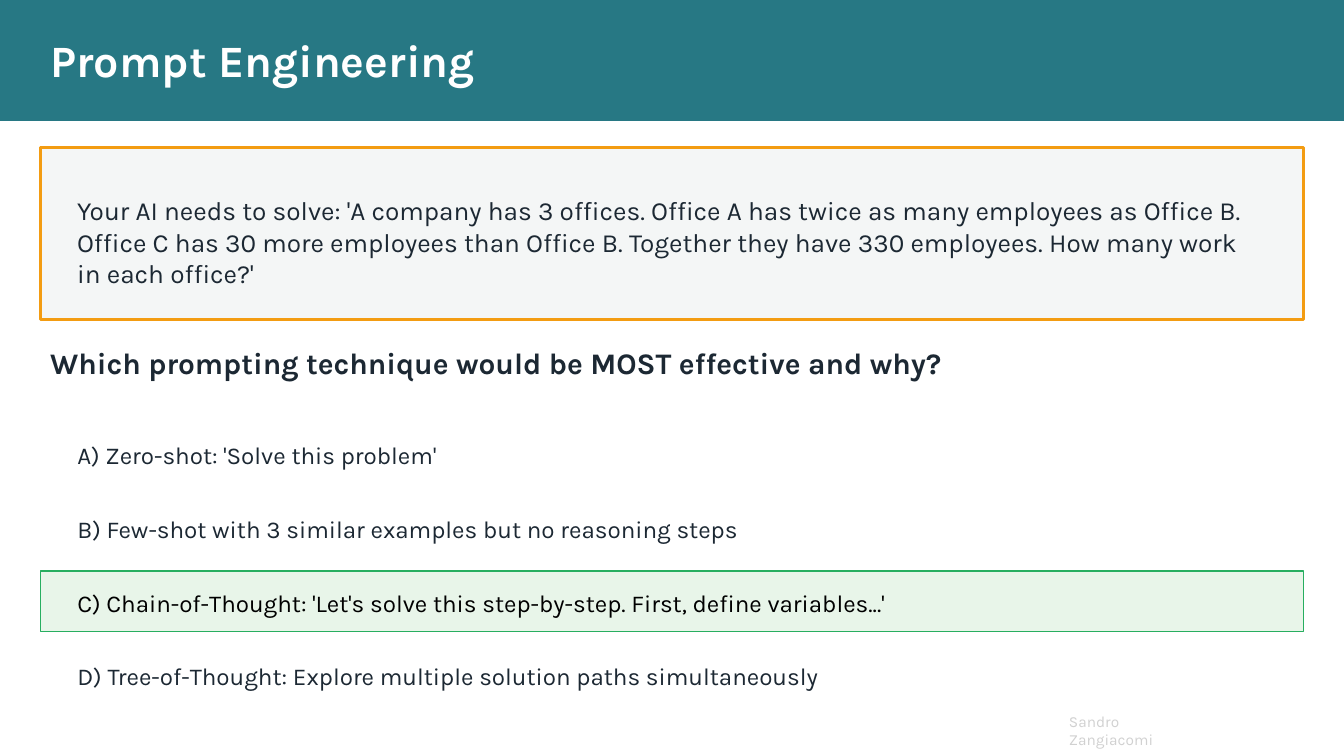
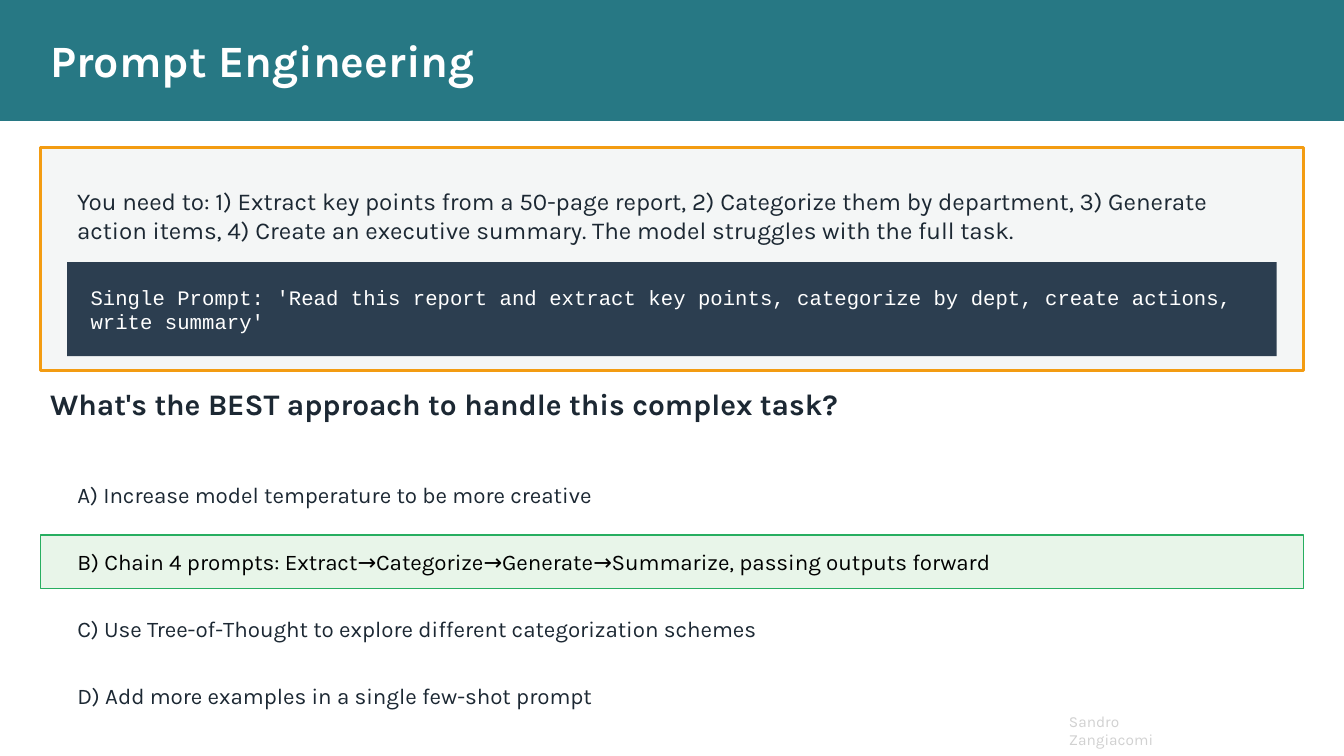
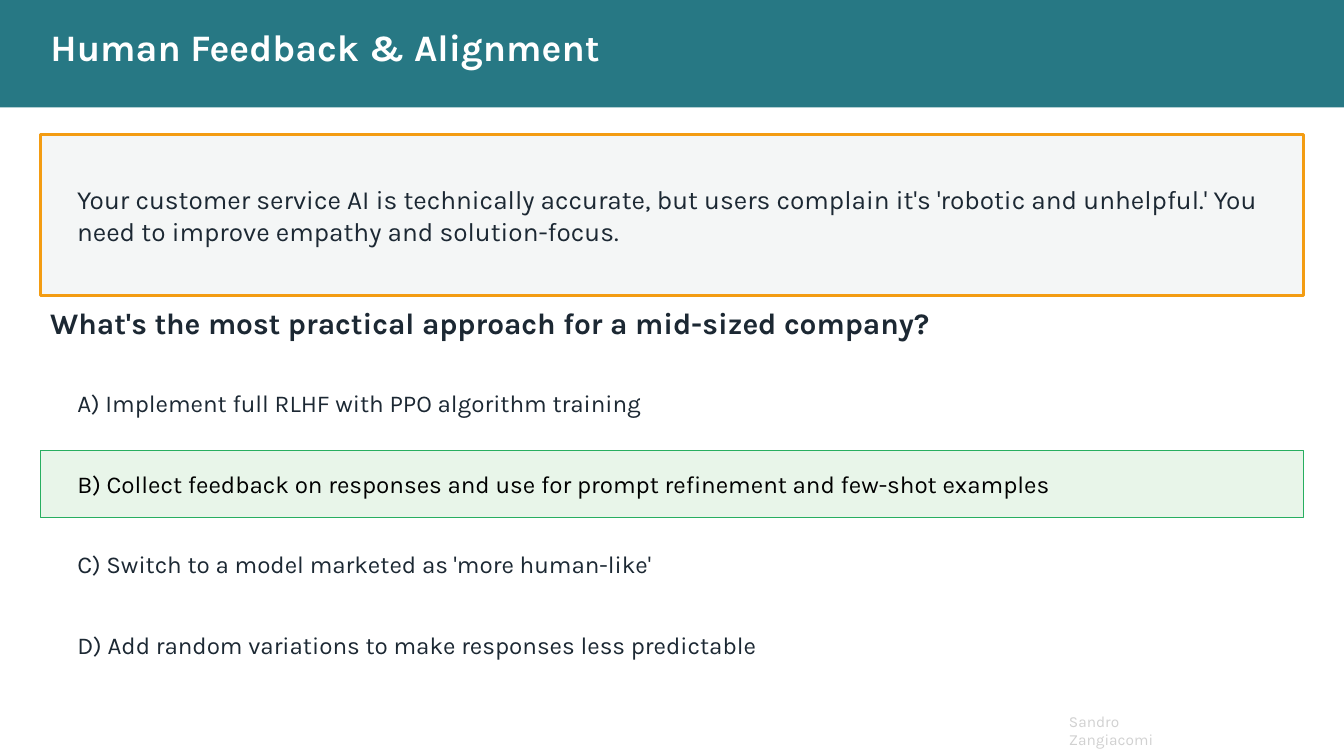
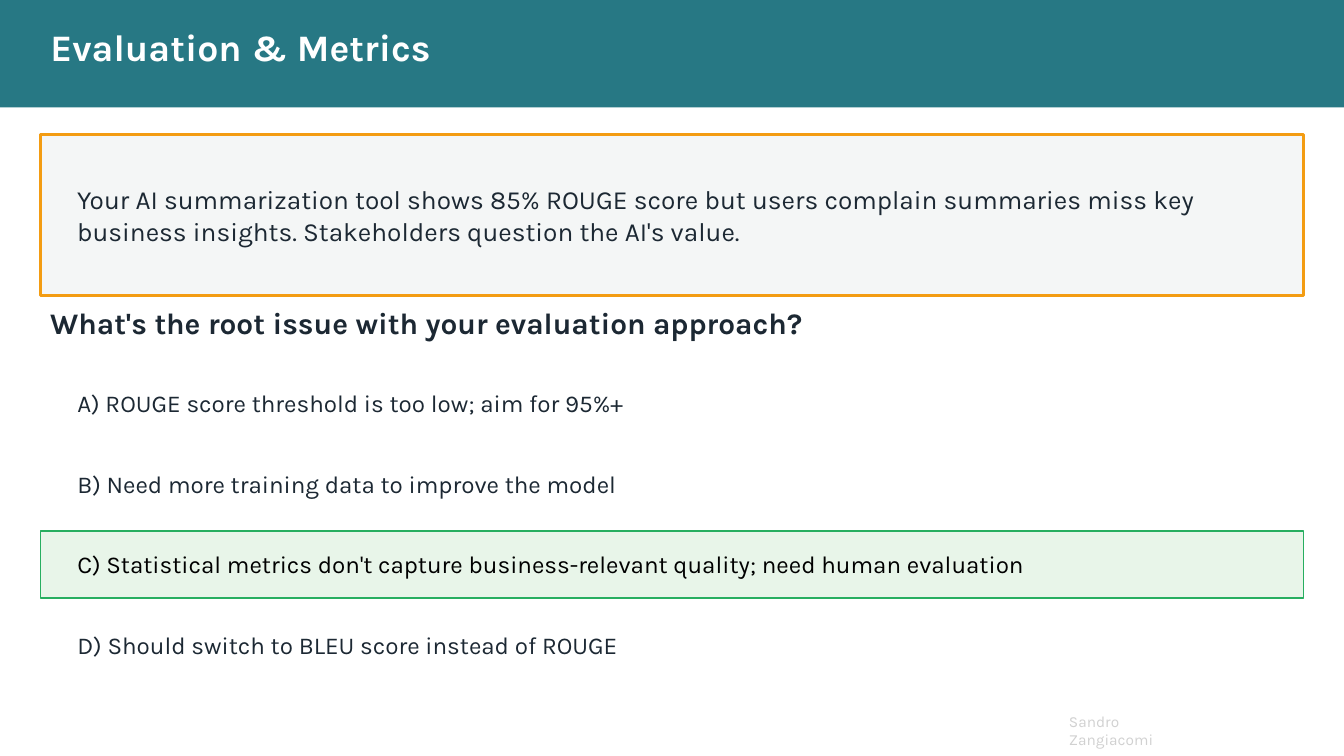
from dataclasses import dataclass

from pptx import Presentation
from pptx.dml.color import RGBColor
from pptx.enum.shapes import MSO_SHAPE
from pptx.enum.text import MSO_ANCHOR as Anchor, MSO_AUTO_SIZE as AutoSize, PP_ALIGN as Align
from pptx.oxml.xmlchemy import OxmlElement
from pptx.util import Inches, Pt

PX = 12192
POINTS_PER_PX = 0.96
LINE_FACTOR = 1.17

TEAL = RGBColor(0x27, 0x78, 0x84)
WHITE = RGBColor(0xFF, 0xFF, 0xFF)
BLACK = RGBColor(0x00, 0x00, 0x00)
INK = RGBColor(0x1C, 0x28, 0x33)
PALE_GREY = RGBColor(0xF4, 0xF6, 0xF6)
ORANGE = RGBColor(0xF3, 0x9C, 0x12)
NAVY = RGBColor(0x2C, 0x3E, 0x50)
PALE_GREEN = RGBColor(0xE8, 0xF5, 0xE9)
GREEN = RGBColor(0x27, 0xAE, 0x60)
FOOTER_GREY = RGBColor(0xD1, 0xD1, 0xD1)

TEXT_FONT = "Karla"
CODE_FONT = "Courier New"
SLIDE_WIDTH = 1000
PANEL_LEFT, PANEL_WIDTH = 30, 940
TEXT_LEFT, TEXT_WIDTH = 50, 900


@dataclass
class Style:
    band_height: int
    title_centre: int
    title_size: float
    panel_top: int
    panel_height: int
    scenario_height: int
    scenario_size: float
    question_centre: int
    first_option: int
    option_step: int
    option_size: float
    answer_height: int


@dataclass
class Quiz:
    style: Style
    title: str
    scenario: str
    question: str
    options: list
    answer: int
    code: str = ""


REASONING = Style(90, 44, 32, 110, 128, 120, 18.7, 270, 338, 55, 17.3, 45)
WITH_CODE = Style(90, 44, 32, 110, 166, 80, 17.3, 300, 368, 50, 16, 40)
COMPACT = Style(80, 35, 26.7, 100, 120, 100, 18.7, 240, 300, 60, 17.3, 50)

QUIZZES = [
    Quiz(
        REASONING,
        "Prompt Engineering",
        "Your AI needs to solve: 'A company has 3 offices. Office A has twice as many "
        "employees as Office B. Office C has 30 more employees than Office B. Together "
        "they have 330 employees. How many work in each office?'",
        "Which prompting technique would be MOST effective and why?",
        [
            "A) Zero-shot: 'Solve this problem'",
            "B) Few-shot with 3 similar examples but no reasoning steps",
            "C) Chain-of-Thought: 'Let's solve this step-by-step. First, define variables...'",
            "D) Tree-of-Thought: Explore multiple solution paths simultaneously",
        ],
        2,
    ),
    Quiz(
        WITH_CODE,
        "Prompt Engineering",
        "You need to: 1) Extract key points from a 50-page report, 2) Categorize them by "
        "department, 3) Generate action items, 4) Create an executive summary. The model "
        "struggles with the full task.",
        "What's the BEST approach to handle this complex task?",
        [
            "A) Increase model temperature to be more creative",
            "B) Chain 4 prompts: Extract→Categorize→Generate→Summarize, passing outputs forward",
            "C) Use Tree-of-Thought to explore different categorization schemes",
            "D) Add more examples in a single few-shot prompt",
        ],
        1,
        "Single Prompt: 'Read this report and extract key points, categorize by dept, "
        "create actions, write summary'",
    ),
    Quiz(
        COMPACT,
        "Human Feedback & Alignment",
        "Your customer service AI is technically accurate, but users complain it's "
        "'robotic and unhelpful.' You need to improve empathy and solution-focus.",
        "What's the most practical approach for a mid-sized company?",
        [
            "A) Implement full RLHF with PPO algorithm training",
            "B) Collect feedback on responses and use for prompt refinement and few-shot examples",
            "C) Switch to a model marketed as 'more human-like'",
            "D) Add random variations to make responses less predictable",
        ],
        1,
    ),
    Quiz(
        COMPACT,
        "Evaluation & Metrics",
        "Your AI summarization tool shows 85% ROUGE score but users complain summaries "
        "miss key business insights. Stakeholders question the AI's value.",
        "What's the root issue with your evaluation approach?",
        [
            "A) ROUGE score threshold is too low; aim for 95%+",
            "B) Need more training data to improve the model",
            "C) Statistical metrics don't capture business-relevant quality; need human evaluation",
            "D) Should switch to BLEU score instead of ROUGE",
        ],
        2,
    ),
]


def emu(*lengths):
    return [length * PX for length in lengths]


def write(paragraph, text, size, color=INK, font=TEXT_FONT, bold=False):
    paragraph.alignment = Align.LEFT
    run = paragraph.add_run()
    run.text = text
    run.font.name = font
    run.font.size = Pt(size)
    run.font.bold = bold
    run.font.color.rgb = color


def prepare_frame(shape, anchor=Anchor.MIDDLE):
    frame = shape.text_frame
    frame.word_wrap = True
    frame.auto_size = AutoSize.NONE
    frame.vertical_anchor = anchor
    return frame


def add_text(slide, box, text, size, anchor=Anchor.MIDDLE, **text_format):
    shape = slide.shapes.add_textbox(*emu(*box))
    write(prepare_frame(shape, anchor).paragraphs[0], text, size, **text_format)


def add_panel(slide, box, fill, line=None, line_width=1):
    panel = slide.shapes.add_shape(MSO_SHAPE.RECTANGLE, *emu(*box))
    panel.shadow.inherit = False
    panel.fill.solid()
    panel.fill.fore_color.rgb = fill
    if line is None:
        panel.line.fill.background()
    else:
        panel.line.color.rgb = line
        panel.line.width = Pt(line_width)


def bring_placeholder(placeholder, box):
    placeholder.left, placeholder.top, placeholder.width, placeholder.height = emu(*box)
    placeholder.element.getparent().append(placeholder.element)
    return prepare_frame(placeholder)


def add_footer(slide):
    add_text(slide, (788, 526, 112, 22), "Sandro Zangiacomi", 11,
             anchor=Anchor.TOP, color=FOOTER_GREY)


def add_header(slide, title, style):
    add_panel(slide, (0, 0, SLIDE_WIDTH, style.band_height), TEAL)
    frame = bring_placeholder(slide.shapes.title, (PANEL_LEFT, style.title_centre - 22, 750, 44))
    write(frame.paragraphs[0], title, style.title_size, color=WHITE, bold=True)


def add_code(slide, box, code):
    left, top, width, height = box
    add_panel(slide, box, NAVY)
    add_text(slide, (left + 10, top + 10, width - 20, height - 20), code, 14.7,
             color=WHITE, font=CODE_FONT)


def add_scenario(slide, quiz, style):
    top = style.panel_top
    add_panel(slide, (PANEL_LEFT, top, PANEL_WIDTH, style.panel_height), PALE_GREY, ORANGE, 2)
    add_text(slide, (TEXT_LEFT, top + 10, TEXT_WIDTH, style.scenario_height),
             quiz.scenario, style.scenario_size)
    if quiz.code:
        add_code(slide, (TEXT_LEFT, top + 85, TEXT_WIDTH, 70), quiz.code)


def remove_bullet(paragraph):
    properties = paragraph._p.get_or_add_pPr()
    properties.set("marL", "0")
    properties.set("indent", "0")
    properties.append(OxmlElement("a:buNone"))


def add_options(slide, quiz, style):
    step, size = style.option_step, style.option_size
    answer_top = style.first_option + quiz.answer * step - (style.answer_height + 1) // 2
    add_panel(slide, (PANEL_LEFT, answer_top, PANEL_WIDTH, style.answer_height),
              PALE_GREEN, GREEN)
    list_box = (TEXT_LEFT, style.first_option - step // 2, TEXT_WIDTH, step * len(quiz.options))
    frame = bring_placeholder(slide.placeholders[1], list_box)
    line_height = size * LINE_FACTOR
    for index, option in enumerate(quiz.options):
        paragraph = frame.add_paragraph() if index else frame.paragraphs[0]
        remove_bullet(paragraph)
        paragraph.line_spacing = Pt(line_height)
        paragraph.space_before = Pt(step * POINTS_PER_PX - line_height if index else 0)
        paragraph.space_after = Pt(0)
        write(paragraph, option, size, color=BLACK if index == quiz.answer else INK)


def add_quiz_slide(presentation, quiz):
    slide = presentation.slides.add_slide(presentation.slide_layouts[1])
    style = quiz.style
    add_footer(slide)
    add_header(slide, quiz.title, style)
    add_scenario(slide, quiz, style)
    add_text(slide, (PANEL_LEFT, style.question_centre - 20, PANEL_WIDTH, 40),
             quiz.question, 21.3, bold=True)
    add_options(slide, quiz, style)


def main():
    presentation = Presentation()
    presentation.slide_width = SLIDE_WIDTH * PX
    presentation.slide_height = Inches(7.5)
    for quiz in QUIZZES:
        add_quiz_slide(presentation, quiz)
    presentation.save("out.pptx")


if __name__ == "__main__":
    main()
